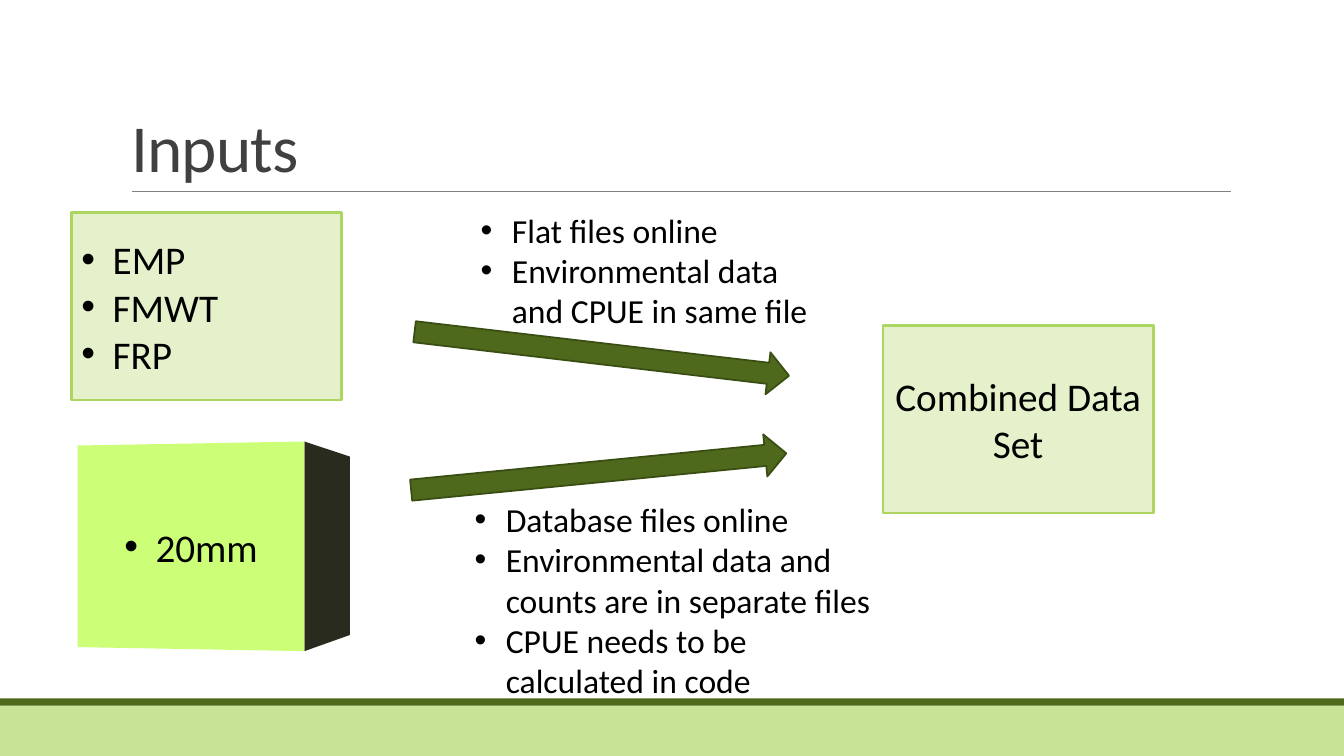
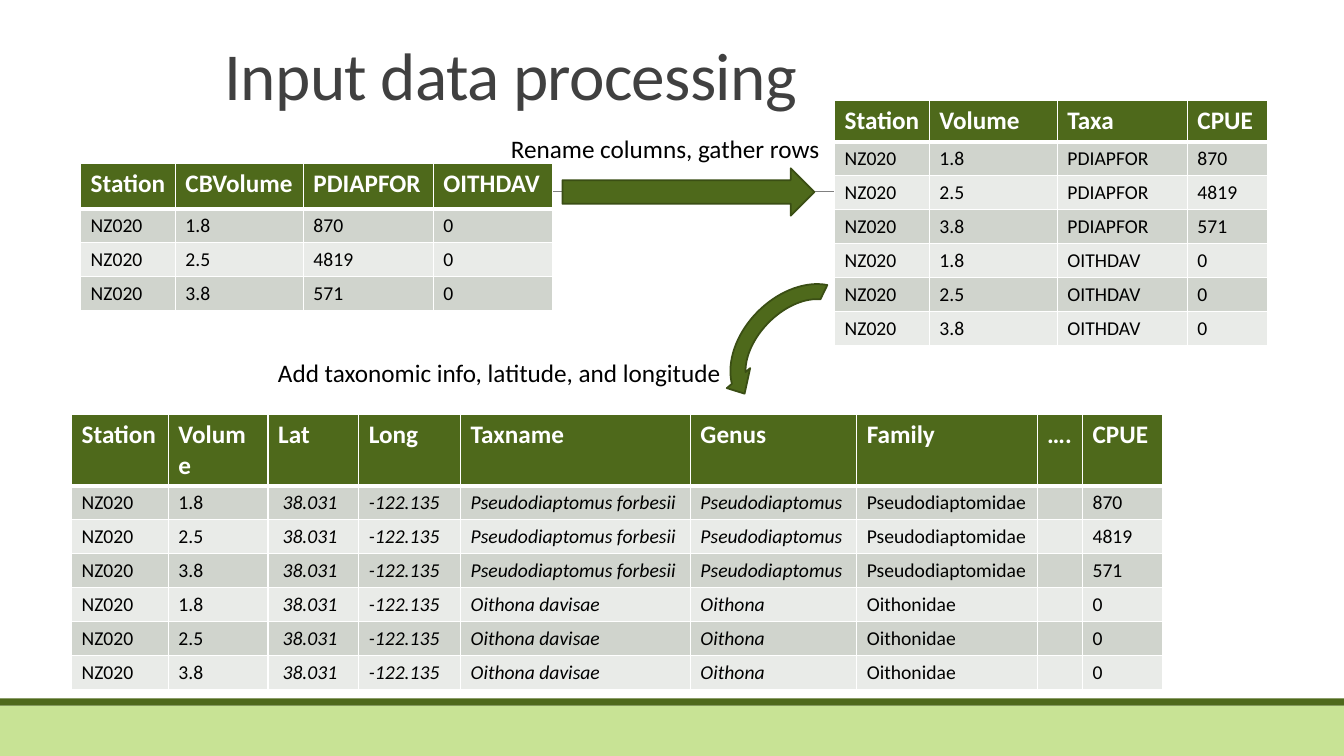
from dataclasses import dataclass
from typing import Any, Sequence

from lxml import etree
from pptx import Presentation
from pptx import util as u
from pptx.dml import color
from pptx.enum import shapes, text
from pptx.oxml import ns

PITCH = u.Inches(0.1)
COLUMNS, ROWS = 133.33, 75
FONT = "Calibri"
DARK, EDGE, PALE, BAND = "4E691B", "3A4E14", "E4F1CA", "C8E395"
LIME, SHADE, OUTLINE = "CCFF77", "282B1E", "ADD661"
WHITE, BLACK, TITLE_GREY, RULE_GREY = "FFFFFF", "000000", "404040", "808080"
STRIPES = ("D0D4CD", "E9EBE8")
HANGING = 0.31

TITLE_FRAME = {
    "auto_size": text.MSO_AUTO_SIZE.NONE,
    "vertical_anchor": text.MSO_ANCHOR.BOTTOM,
    "word_wrap": True,
}
PANEL_FRAME = {"vertical_anchor": text.MSO_ANCHOR.MIDDLE, "word_wrap": True}
NOTE_FRAME = {"vertical_anchor": text.MSO_ANCHOR.TOP, "word_wrap": True}


@dataclass(frozen=True)
class Area:
    column: float
    row: float
    columns: float
    rows: float

    def emu(self) -> tuple[int, ...]:
        return tuple(grid(n) for n in (self.column, self.row, self.columns, self.rows))


@dataclass(frozen=True)
class Words:
    lines: tuple[str, ...]
    size: float
    bullets: bool = False
    centred: bool = False


@dataclass(frozen=True)
class Arrow:
    area: Area
    rotation: float = 0
    kind: Any = shapes.MSO_SHAPE.RIGHT_ARROW
    adjustments: tuple[float, ...] = ()
    flipped: bool = False


@dataclass(frozen=True)
class Face:
    corners: tuple[tuple[float, float], ...]
    fill: str


@dataclass(frozen=True)
class Species:
    code: str
    taxname: str
    genus: str
    family: str
    cpue: tuple[str, ...]


@dataclass(frozen=True)
class Grid:
    area: Area
    widths: tuple[float, ...]
    header_rows: float
    header: tuple[str, ...]
    body: Sequence[Sequence[str]]
    italic: tuple[int, ...] = ()


STATION = "NZ020"
VOLUMES = ("1.8", "2.5", "3.8")
SPECIES = (
    Species("PDIAPFOR", "Pseudodiaptomus forbesii", "Pseudodiaptomus",
            "Pseudodiaptomidae", ("870", "4819", "571")),
    Species("OITHDAV", "Oithona davisae", "Oithona", "Oithonidae", ("0", "0", "0")),
)

PANELS = (
    (Area(7.1, 21.1, 26.8, 18.6), Words(("EMP", "FMWT", "FRP"), 28, bullets=True)),
    (Area(87.6, 32.3, 26.8, 18.6), Words(("Combined Data Set",), 28, centred=True)),
)
CUBE_SIDE = Face(((30.2, 43.8), (34.7, 45.3), (34.7, 63), (30.2, 64.6)), SHADE)
CUBE_FRONT = Face(((7.7, 44.2), (30.2, 43.8), (30.2, 64.6), (7.7, 64.2)), LIME)
SURVEY_NOTES = (
    (Area(46.7, 20.3, 36.2, 13.1), Words(
        ("Flat files online", "Environmental data and CPUE in same file"), 24, bullets=True)),
    (Area(46.1, 49, 42.3, 21.2), Words(
        ("Database files online", "Environmental data and counts are in separate files",
         "CPUE needs to be calculated in code"), 24, bullets=True)),
)
SURVEY_ARROWS = (
    Arrow(Area(40.7, 44.7, 37.4, 4.2), 354.4),
    Arrow(Area(41, 33, 37.4, 4.2), 6.7),
)

TABLES = (
    Grid(Area(8, 16.2, 46.8, 14.5), (9.4, 12.7, 12.9, 11.8), 4.5,
         ("Station", "CBVolume", *(s.code for s in SPECIES)),
         [(STATION, volume, *(s.cpue[i] for s in SPECIES))
          for i, volume in enumerate(VOLUMES)]),
    Grid(Area(82.8, 10, 43, 24), (9.4, 12.7, 12.9, 8), 3.9,
         ("Station", "Volume", "Taxa", "CPUE"),
         [(STATION, volume, s.code, cpue)
          for s in SPECIES for volume, cpue in zip(VOLUMES, s.cpue)]),
    Grid(Area(7.1, 41.1, 108.2, 24.5),
         (9.6, 9.9, 9, 10.1, 22.8, 16.5, 17.9, 4.5, 7.9), 4.5,
         ("Station", "Volume", "Lat", "Long", "Taxname", "Genus", "Family", "….", "CPUE"),
         [(STATION, volume, " 38.031", "-122.135", s.taxname, s.genus, s.family, "", cpue)
          for s in SPECIES for volume, cpue in zip(VOLUMES, s.cpue)],
         italic=(2, 3, 4, 5)),
)
STEP_NOTES = (
    (Area(49.7, 12.7, 37.3, 4), Words(("Rename columns, gather rows",), 18)),
    (Area(26.6, 35, 47.4, 4), Words(("Add taxonomic info, latitude, and longitude",), 18)),
)
STEP_ARROWS = (
    Arrow(Area(70.7, 28.6, 16.5, 12.2), 134.6, shapes.MSO_SHAPE.CIRCULAR_ARROW,
          (0.125, 8.552, 204.577, 119.146, 0.125), flipped=True),
    Arrow(Area(55.8, 16.7, 25, 4.7)),
)


def grid(cells: float) -> int:
    return round(cells * PITCH)


def rgb(value: str) -> color.RGBColor:
    return color.RGBColor.from_string(value)


def apply(target: Any, formats: dict[str, Any]) -> None:
    for attribute, value in formats.items():
        setattr(target, attribute, value)


def add_run(paragraph: Any, words: str, tint: str, size: float, **extra: bool) -> Any:
    run = paragraph.add_run()
    run.text = words
    apply(run.font, {"name": FONT, "size": u.Pt(size), **extra})
    run.font.color.rgb = rgb(tint)
    return run


def add_bullet(paragraph: Any) -> None:
    properties = paragraph._p.get_or_add_pPr()
    properties.set("marL", str(u.Inches(HANGING)))
    properties.set("indent", str(-u.Inches(HANGING)))
    etree.SubElement(properties, ns.qn("a:buFont")).set("typeface", "Arial")
    etree.SubElement(properties, ns.qn("a:buChar")).set("char", "•")


def write(frame: Any, words: Words, formats: dict[str, Any]) -> None:
    apply(frame, formats)
    for index, line in enumerate(words.lines):
        paragraph = frame.add_paragraph() if index else frame.paragraphs[0]
        paragraph.alignment = text.PP_ALIGN.CENTER if words.centred else text.PP_ALIGN.LEFT
        if words.bullets:
            add_bullet(paragraph)
        add_run(paragraph, line, BLACK, words.size)


def paint(shape: Any, fill: str, outline: str = "", width: float = 0) -> Any:
    shape.shadow.inherit = False
    shape.fill.solid()
    shape.fill.fore_color.rgb = rgb(fill)
    if outline:
        shape.line.color.rgb = rgb(outline)
        shape.line.width = u.Pt(width)
    else:
        shape.line.fill.background()
    return shape


def add_block(slide: Any, area: Area, fill: str, outline: str = "", width: float = 0) -> Any:
    block = slide.shapes.add_shape(shapes.MSO_SHAPE.RECTANGLE, *area.emu())
    return paint(block, fill, outline, width)


def add_notes(slide: Any, notes: Sequence[tuple[Area, Words]]) -> None:
    for area, words in notes:
        write(slide.shapes.add_textbox(*area.emu()).text_frame, words, NOTE_FRAME)


def add_arrow(slide: Any, arrow: Arrow) -> None:
    pointer = slide.shapes.add_shape(arrow.kind, *arrow.area.emu())
    paint(pointer, DARK, EDGE, 1.25)
    pointer.rotation = arrow.rotation
    for index, value in enumerate(arrow.adjustments):
        pointer.adjustments[index] = value
    if arrow.flipped:
        pointer.element.spPr.find(ns.qn("a:xfrm")).set("flipV", "1")


def add_face(slide: Any, face: Face) -> Any:
    start, *rest = [(grid(x), grid(y)) for x, y in face.corners]
    builder = slide.shapes.build_freeform(*start)
    builder.add_line_segments(rest, close=True)
    return paint(builder.convert_to_shape(), face.fill)


def add_borders(cell: Any, top: float, bottom: float) -> None:
    properties = cell._tc.get_or_add_tcPr()
    for side, width in {"L": 1, "R": 1, "T": top, "B": bottom}.items():
        border = etree.SubElement(properties, ns.qn(f"a:ln{side}"), w=str(u.Pt(width)))
        fill = etree.SubElement(border, ns.qn("a:solidFill"))
        etree.SubElement(fill, ns.qn("a:srgbClr"), val=WHITE)


def add_grid(slide: Any, data: Grid) -> None:
    lines = (data.header, *data.body)
    table = slide.shapes.add_table(len(lines), len(data.widths), *data.area.emu()).table
    for column, width in zip(table.columns, data.widths):
        column.width = grid(width)
    for r, line in enumerate(lines):
        heading = r == 0
        table.rows[r].height = grid(data.header_rows if heading else 3)
        for c, words in enumerate(line):
            cell = table.cell(r, c)
            add_borders(cell, 3 if r == 1 else 1, 3 if heading else 1)
            cell.fill.solid()
            cell.fill.fore_color.rgb = rgb(DARK if heading else STRIPES[(r - 1) % 2])
            paragraph = cell.text_frame.paragraphs[0]
            if words:
                add_run(paragraph, words, WHITE if heading else BLACK, 18 if heading else 14,
                        bold=heading, italic=not heading and c in data.italic)
            else:
                etree.SubElement(paragraph._p, ns.qn("a:endParaRPr"), sz="1400")


def add_titled_slide(deck: Any, layout: Any, title: str, area: Area) -> Any:
    slide = deck.slides.add_slide(layout)
    heading = slide.shapes.title
    apply(heading, dict(zip(("left", "top", "width", "height"), area.emu())))
    apply(heading.text_frame, TITLE_FRAME)
    paragraph = heading.text_frame.paragraphs[0]
    apply(paragraph, {"alignment": text.PP_ALIGN.LEFT, "line_spacing": 0.85})
    run = add_run(paragraph, title, TITLE_GREY, 48)
    run.font._element.set("spc", "-50")
    return slide


def decorate_layout(slide: Any, layout: Any) -> None:
    footer = add_block(slide, Area(0, 70, COLUMNS, 5), BAND)
    strip = add_block(slide, Area(0, 69.3, COLUMNS, 0.7), DARK)
    rule = slide.shapes.add_connector(
        shapes.MSO_CONNECTOR.STRAIGHT, *(grid(n) for n in (13.1, 19, 122.1, 19)))
    rule.line.color.rgb = rgb(RULE_GREY)
    rule.line.width = u.Pt(0.5)
    etree.SubElement(rule.element.spPr, ns.qn("a:effectLst"))
    for position, part in enumerate((footer, strip, rule), start=2):
        layout.shapes.element.insert(position, part.element)


def draw_inputs(slide: Any) -> None:
    add_face(slide, CUBE_SIDE)
    front = add_face(slide, CUBE_FRONT)
    write(front.text_frame, Words(("20mm",), 28, bullets=True, centred=True), PANEL_FRAME)
    for area, words in PANELS:
        write(add_block(slide, area, PALE, OUTLINE, 2).text_frame, words, PANEL_FRAME)
    add_notes(slide, SURVEY_NOTES)
    for arrow in SURVEY_ARROWS:
        add_arrow(slide, arrow)


def draw_processing(slide: Any) -> None:
    for data in TABLES:
        add_grid(slide, data)
    add_notes(slide, STEP_NOTES)
    for arrow in STEP_ARROWS:
        add_arrow(slide, arrow)


def main() -> None:
    deck = Presentation()
    apply(deck, {"slide_width": grid(COLUMNS), "slide_height": grid(ROWS)})
    layout = deck.slide_layouts.get_by_name("Title Only")
    inputs = add_titled_slide(deck, layout, "Inputs", Area(12, 3.1, 110, 15.9))
    decorate_layout(inputs, layout)
    draw_inputs(inputs)
    draw_processing(add_titled_slide(
        deck, layout, "Input data processing", Area(21.3, -2.7, 86.2, 14.5)))
    deck.save("out.pptx")


if __name__ == "__main__":
    main()
